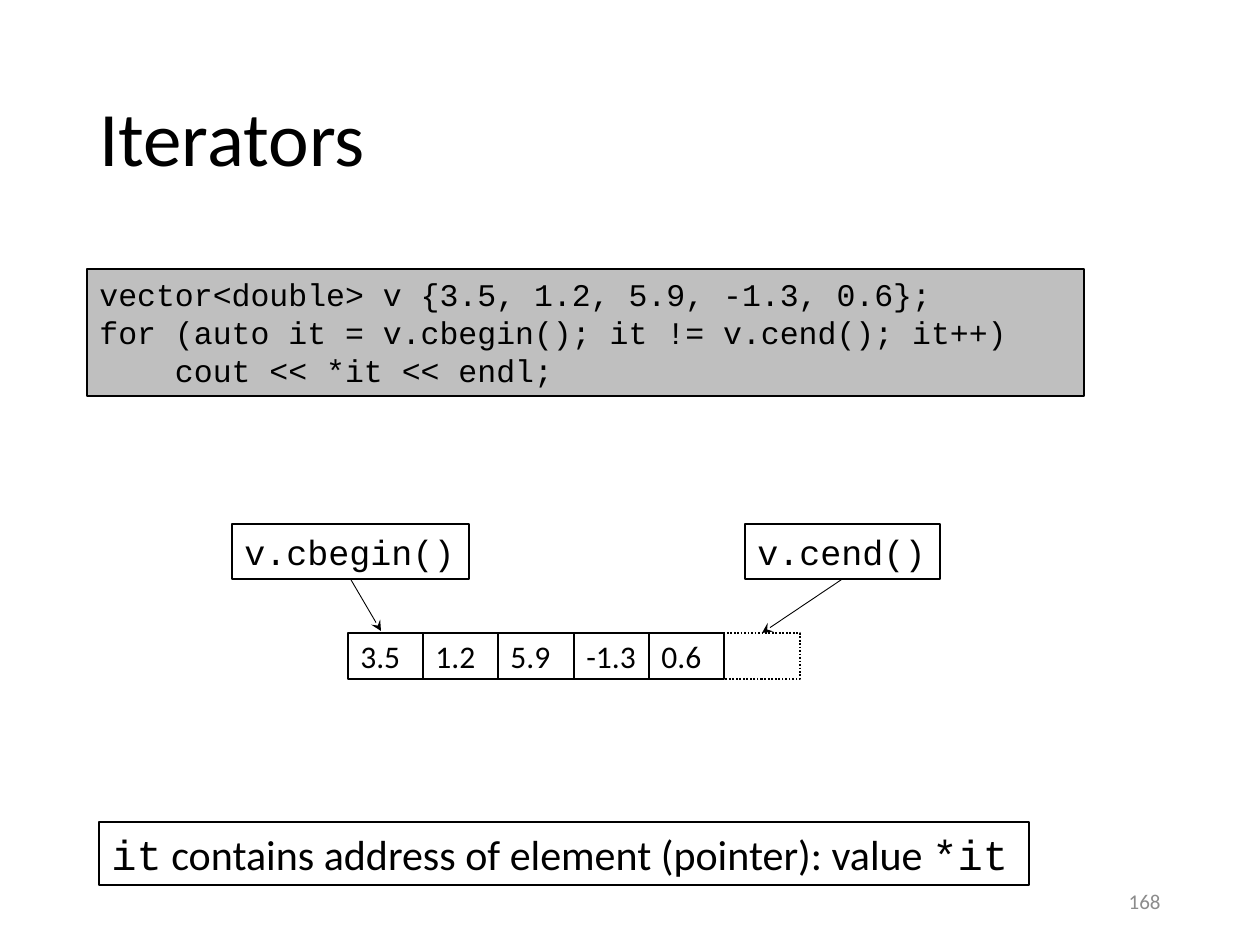
from dataclasses import dataclass

from lxml.etree import SubElement
from pptx import Presentation
from pptx.dml.color import RGBColor as Rgb
from pptx.enum.dml import MSO_LINE_DASH_STYLE as Dash
from pptx.enum.shapes import MSO_CONNECTOR_TYPE as Connector, MSO_SHAPE as Shape
from pptx.enum.text import MSO_ANCHOR as Anchor, MSO_AUTO_SIZE as AutoSize, PP_ALIGN as Align
from pptx.oxml.ns import qn
from pptx.util import Emu, Pt

PX = 914400 / 126


def px(length):
    return Emu(round(length * PX))


@dataclass(frozen=True)
class Theme:
    ink: Rgb = Rgb(0, 0, 0)
    code_fill: Rgb = Rgb(0xBF, 0xBF, 0xBF)
    muted: Rgb = Rgb(0x8C, 0x8C, 0x8C)
    body: str = "Calibri"
    mono: str = "Courier New"
    title_size: int = 44
    caption_size: int = 24
    label_size: int = 20
    text_size: int = 18
    number_size: int = 12


class SlideBuilder:
    def __init__(self, slide, theme):
        self.shapes = slide.shapes
        self.theme = theme

    def style(self, run, size, font, color=None):
        run.font.size = Pt(size)
        run.font.name = font
        run.font.color.rgb = color or self.theme.ink

    def set_text(self, frame, text, size, font, color=None, align=Align.LEFT):
        frame.text = text
        for paragraph in frame.paragraphs:
            paragraph.alignment = align
            for run in paragraph.runs:
                self.style(run, size, font, color)

    def text(self, area, text, size, color=None, align=Align.LEFT):
        frame = self.shapes.add_textbox(*map(px, area)).text_frame
        frame.word_wrap = True
        frame.vertical_anchor = Anchor.MIDDLE
        self.set_text(frame, text, size, self.theme.body, color, align)
        return frame

    def rectangle(self, area, weight, fill=None):
        box = self.shapes.add_shape(Shape.RECTANGLE, *map(px, area))
        box.shadow.inherit = False
        if fill:
            box.fill.solid()
            box.fill.fore_color.rgb = fill
        else:
            box.fill.background()
        box.line.color.rgb = self.theme.ink
        box.line.width = Pt(weight)
        return box

    def framed(self, area, text, size, wrap=True, fill=None):
        box = self.rectangle(area, 0.75, fill)
        frame = box.text_frame
        frame.word_wrap = wrap
        frame.auto_size = AutoSize.SHAPE_TO_FIT_TEXT
        frame.vertical_anchor = Anchor.TOP
        self.set_text(frame, text, size, self.theme.mono)
        return box

    def cell(self, area, value):
        box = self.rectangle(area, 1)
        frame = box.text_frame
        frame.word_wrap = False
        frame.margin_top = frame.margin_bottom = 0
        frame.vertical_anchor = Anchor.MIDDLE
        if value:
            self.set_text(frame, value, self.theme.text_size, self.theme.body)
        else:
            box.line.dash_style = Dash.ROUND_DOT
        return box

    def arrow(self, source, tip):
        arrow = self.shapes.add_connector(Connector.STRAIGHT, 0, 0, *map(px, tip))
        arrow.begin_connect(source, 2)
        arrow.line.color.rgb = self.theme.ink
        arrow.line.width = Pt(0.5)
        properties = arrow.element.spPr
        SubElement(properties.find(qn("a:ln")), qn("a:tailEnd"), type="stealth")
        SubElement(properties, qn("a:effectLst"))
        return arrow


def main():
    deck = Presentation()
    deck.slide_width, deck.slide_height = px(1260), px(945)
    theme = Theme()
    page = SlideBuilder(deck.slides.add_slide(deck.slide_layouts[6]), theme)

    title = page.text((87, 50, 1086, 183), "Iterators", theme.title_size)
    title.paragraphs[0].line_spacing = 0.9
    page.text((890, 876, 283, 50), "168", theme.number_size, theme.muted, Align.RIGHT)

    code = (
        "vector<double> v {3.5, 1.2, 5.9, -1.3, 0.6};\n"
        "for (auto it = v.cbegin(); it != v.cend(); it++)\n"
        "    cout << *it << endl;"
    )
    page.framed((87, 269, 997, 127), code, theme.text_size, fill=theme.code_fill)

    values = ["3.5", "1.2", "5.9", "-1.3", "0.6", ""]
    vector_left, vector_width, vector_top = 348, 452, 633
    edges = [vector_left + vector_width * i // len(values) for i in range(len(values) + 1)]
    for value, left, right in zip(values, edges, edges[1:]):
        past_end = page.cell((left, vector_top, right - left, 46), value)

    begin = page.framed((232, 524, 237, 55), "v.cbegin()", theme.label_size, wrap=False)
    page.arrow(begin, (381, 631))
    end = page.framed((745, 524, 195, 55), "v.cend()", theme.label_size, wrap=False)
    page.arrow(end, (762, vector_top)).end_connect(past_end, 0)

    caption = page.framed((99, 822, 930, 63), "it", theme.caption_size)
    for words, font in (
        (" contains address of element (pointer): value ", theme.body),
        ("*it", theme.mono),
    ):
        run = caption.text_frame.paragraphs[0].add_run()
        run.text = words
        page.style(run, theme.caption_size, font)

    deck.save("out.pptx")


if __name__ == "__main__":
    main()
